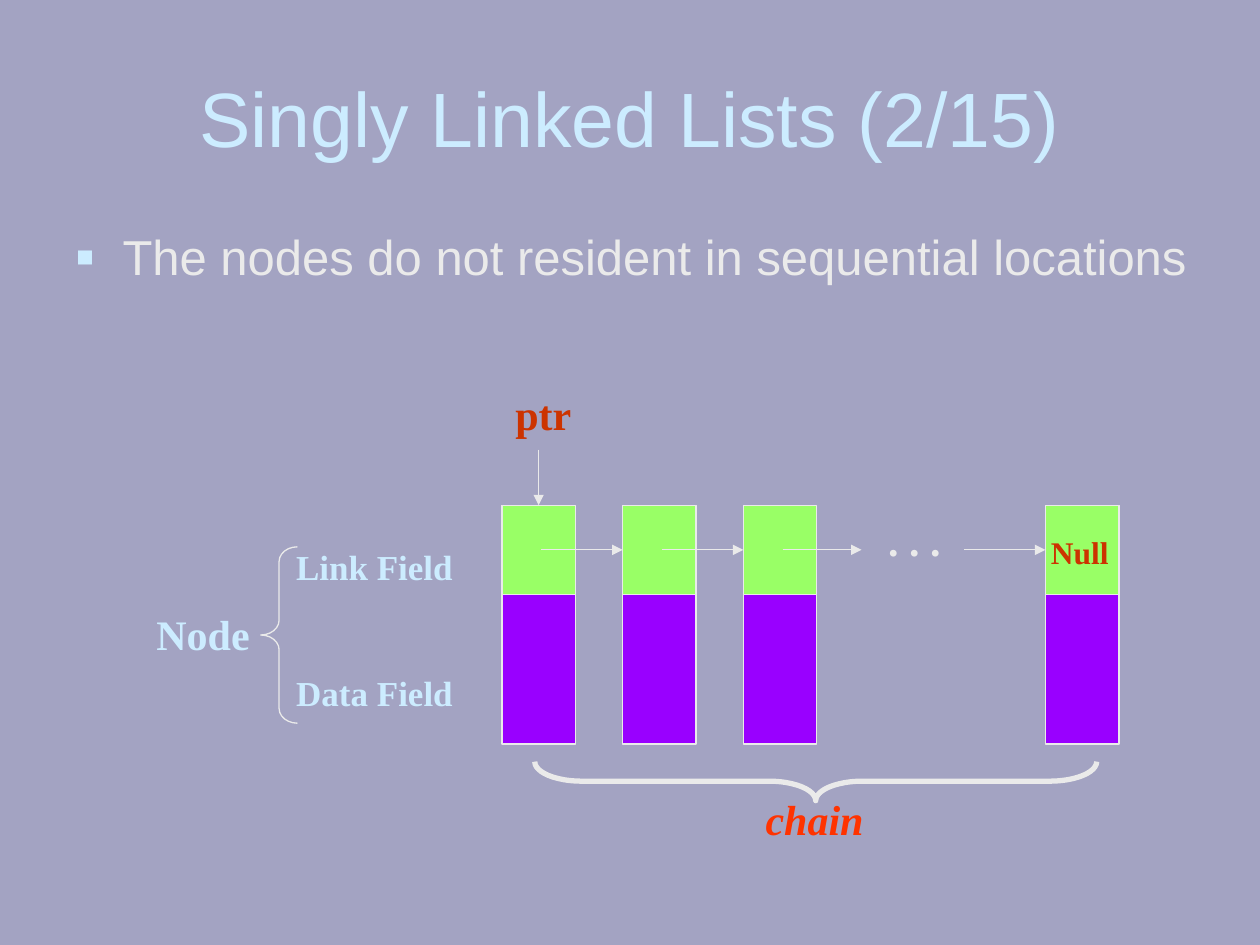
from dataclasses import dataclass

from lxml import etree
from pptx import Presentation
from pptx.dml.color import RGBColor
from pptx.enum.shapes import MSO_CONNECTOR, MSO_SHAPE
from pptx.enum.text import MSO_ANCHOR, MSO_AUTO_SIZE, PP_ALIGN
from pptx.oxml.ns import qn
from pptx.util import Pt

RECTANGLE = MSO_SHAPE.RECTANGLE
LEFT_BRACE = MSO_SHAPE.LEFT_BRACE
STRAIGHT = MSO_CONNECTOR.STRAIGHT
TOP, MIDDLE = MSO_ANCHOR.TOP, MSO_ANCHOR.MIDDLE
LEFT, CENTER = PP_ALIGN.LEFT, PP_ALIGN.CENTER
FIXED_SIZE, FIT_TEXT = MSO_AUTO_SIZE.NONE, MSO_AUTO_SIZE.SHAPE_TO_FIT_TEXT
TOP_SIDE, LEFT_SIDE = 0, 1


@dataclass(frozen=True)
class Theme:
    background: str = "A3A3C2"
    heading: str = "CCECFF"
    light: str = "EAEAEA"
    link: str = "99FF66"
    data: str = "9900FF"
    pointer: str = "CC3300"
    chain: str = "FF3300"
    sans: str = "Arial"
    serif: str = "Times New Roman"
    title_size: float = 44
    body_size: float = 28
    label_size: float = 24
    field_size: float = 20
    null_size: float = 18
    thin: float = 0.75
    thick: float = 3


@dataclass(frozen=True)
class Frame:
    left: float
    top: float
    width: float
    height: float

    def points(self) -> tuple:
        return Pt(self.left), Pt(self.top), Pt(self.width), Pt(self.height)


@dataclass(frozen=True)
class Label:
    text: str
    frame: Frame
    size: float
    color: str
    italic: bool = False


THEME = Theme()
NODE_WIDTH, NODE_TOP, NODE_HEIGHT, LINK_HEIGHT = 42, 288.7, 136.5, 51
FIRST_LEFT, PITCH, LAST_LEFT = 286.8, 69, 597.4
NODE_LEFTS = [FIRST_LEFT + PITCH * index for index in range(3)] + [LAST_LEFT]
ARROW_LENGTH = 45
ARROW_OFFSET = 22.5
LINK_MIDDLE = NODE_TOP + LINK_HEIGHT / 2

LABELS = [
    Label("Data Field", Frame(161, 380, 106, 31.5), THEME.field_size, THEME.heading),
    Label("Link Field", Frame(161, 308, 106, 31.5), THEME.field_size, THEME.heading),
    Label("Node", Frame(81, 344.3, 70, 36), THEME.label_size, THEME.heading),
    Label(". . .", Frame(499, 290.3, 47, 36), THEME.label_size, THEME.light),
    Label("Null", Frame(592, 301, 50, 29), THEME.null_size, THEME.pointer),
    Label("ptr", Frame(286, 218.3, 49, 36), THEME.label_size, THEME.pointer),
    Label("chain", Frame(429, 449.8, 73, 36), THEME.label_size, THEME.chain, True),
]


def color_of(value: str) -> RGBColor:
    return RGBColor.from_string(value)


def add_text(page, text: str, frame: Frame, *, size: float, color: str,
             font: str = THEME.serif, bold: bool = False, italic: bool = False,
             align=CENTER, anchor=TOP, wrap: bool = False):
    box = page.shapes.add_textbox(*frame.points())
    box.text_frame.word_wrap = wrap
    box.text_frame.auto_size = FIXED_SIZE if wrap else FIT_TEXT
    box.text_frame.vertical_anchor = anchor
    para = box.text_frame.paragraphs[0]
    para.alignment = align
    span = para.add_run()
    span.text = text
    span.font.name = font
    span.font.size = Pt(size)
    span.font.bold = bold
    span.font.italic = italic
    span.font.color.rgb = color_of(color)
    return para


def add_bullet(para, color: str) -> None:
    properties = para._p.get_or_add_pPr()
    properties.set("marL", str(Pt(27)))
    properties.set("indent", str(-Pt(27)))
    bullet_color = etree.SubElement(properties, qn("a:buClr"))
    etree.SubElement(bullet_color, qn("a:srgbClr"), val=color)
    etree.SubElement(properties, qn("a:buSzPct"), val="115000")
    etree.SubElement(properties, qn("a:buFont"), typeface=THEME.sans)
    etree.SubElement(properties, qn("a:buChar"), char="▪")


def set_line(shape, width: float) -> None:
    shape.line.color.rgb = color_of(THEME.light)
    shape.line.width = Pt(width)


def add_rectangle(page, frame: Frame, fill: str):
    box = page.shapes.add_shape(RECTANGLE, *frame.points())
    box.shadow.inherit = False
    box.fill.solid()
    box.fill.fore_color.rgb = color_of(fill)
    set_line(box, THEME.thin)
    return box


def add_node(page, left: float):
    add_rectangle(page, Frame(left, NODE_TOP, NODE_WIDTH, NODE_HEIGHT), THEME.data)
    return add_rectangle(page, Frame(left, NODE_TOP, NODE_WIDTH, LINK_HEIGHT), THEME.link)


def add_arrow(page, start: tuple, end: tuple, target=None, side: int = LEFT_SIDE) -> None:
    arrow = page.shapes.add_connector(STRAIGHT, *map(Pt, start + end))
    set_line(arrow, THEME.thin)
    etree.SubElement(arrow.line._get_or_add_ln(), qn("a:tailEnd"), type="triangle")
    etree.SubElement(arrow._element.spPr, qn("a:effectLst"))
    if target is not None:
        arrow.end_connect(target, side)


def add_brace(page, frame: Frame, curve: float, width: float, rotation: float = 0) -> None:
    brace = page.shapes.add_shape(LEFT_BRACE, *frame.points())
    brace.shadow.inherit = False
    brace.adjustments[0] = curve
    brace.rotation = rotation
    brace.fill.background()
    set_line(brace, width)


def main() -> None:
    deck = Presentation()
    deck.slide_width, deck.slide_height = Pt(720), Pt(540)
    page = deck.slides.add_slide(deck.slide_layouts[6])
    page.background.fill.solid()
    page.background.fill.fore_color.rgb = color_of(THEME.background)

    add_text(page, "Singly Linked Lists (2/15)", Frame(36, 21.6, 648, 90),
             size=THEME.title_size, color=THEME.heading, font=THEME.sans,
             anchor=MIDDLE, wrap=True)
    body = add_text(page, "The nodes do not resident in sequential locations",
                    Frame(36, 126, 653, 150), size=THEME.body_size, color=THEME.light,
                    font=THEME.sans, align=LEFT, wrap=True)
    body.space_before = Pt(7)
    add_bullet(body, THEME.heading)

    links = [add_node(page, left) for left in NODE_LEFTS]
    targets = [links[1], links[2], None, links[3]]
    starts = [left + ARROW_OFFSET for left in NODE_LEFTS[:3]] + [LAST_LEFT - ARROW_LENGTH - 1.5]
    for start, target in zip(starts, targets):
        add_arrow(page, (start, LINK_MIDDLE), (start + ARROW_LENGTH, LINK_MIDDLE), target)
    pointer_x = FIRST_LEFT + NODE_WIDTH / 2
    add_arrow(page, (pointer_x, 257), (pointer_x, NODE_TOP), links[0], TOP_SIDE)

    add_brace(page, Frame(149, 312.5, 21, 100.8), 0.4, THEME.thin)
    add_brace(page, Frame(455, 285.8, 22.3, 321.1), 1.2, THEME.thick, 270)

    for label in LABELS:
        add_text(page, label.text, label.frame, size=label.size, color=label.color,
                 bold=True, italic=label.italic)

    deck.save("out.pptx")


if __name__ == "__main__":
    main()
